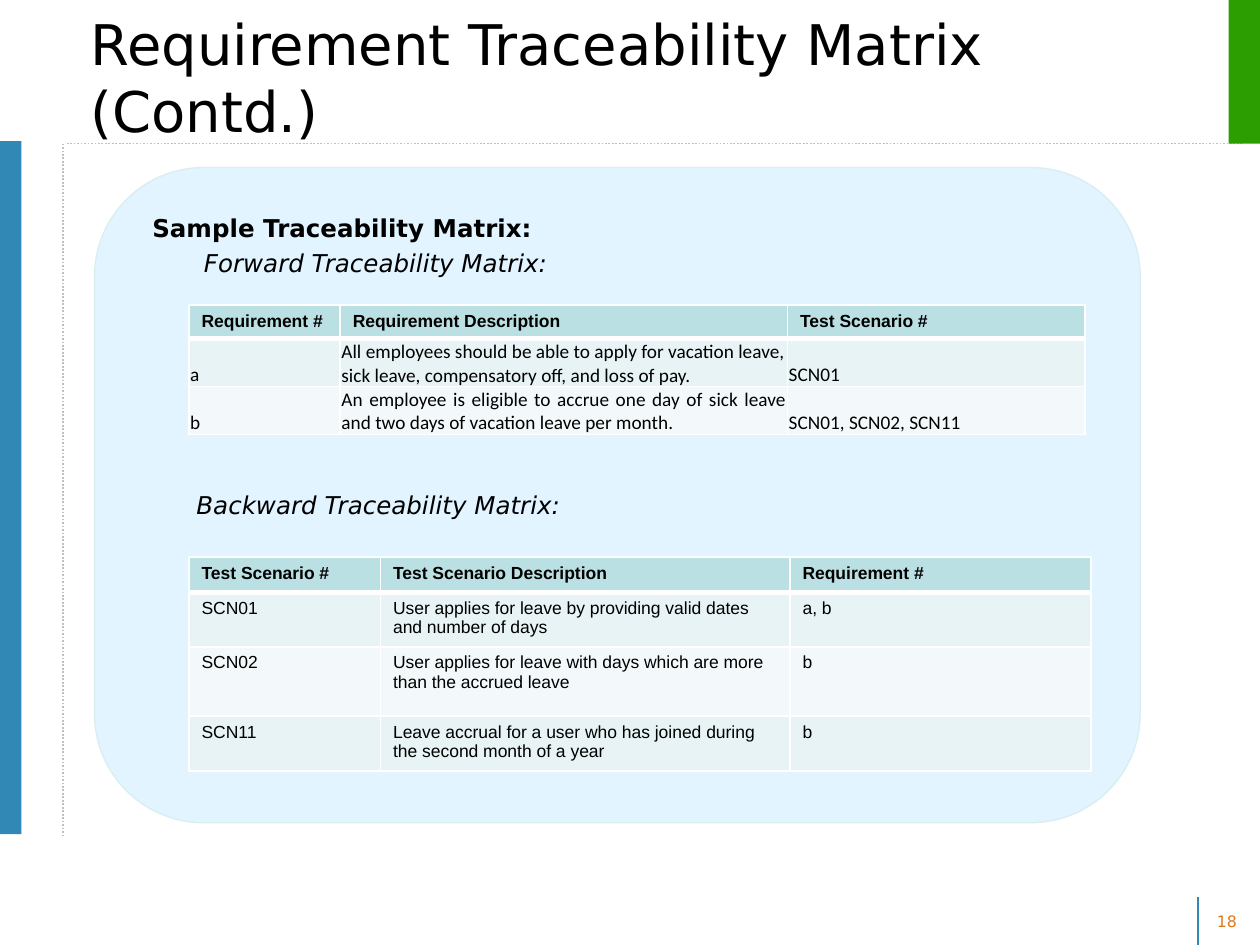
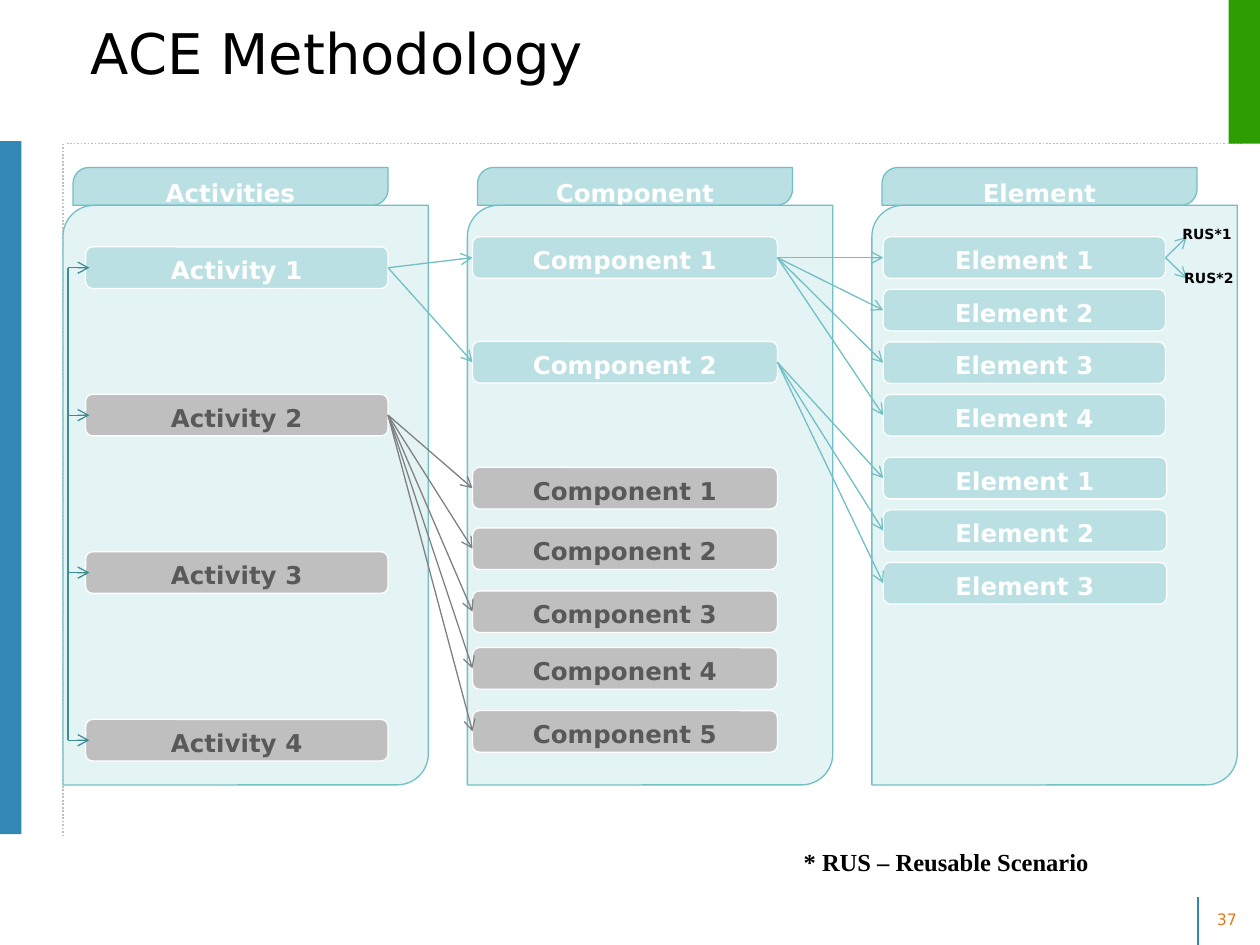
from lxml import etree
from pptx import Presentation
from pptx.dml.color import RGBColor
from pptx.enum.dml import MSO_LINE
from pptx.enum.shapes import MSO_CONNECTOR, MSO_SHAPE
from pptx.enum.text import MSO_ANCHOR, MSO_AUTO_SIZE, PP_ALIGN
from pptx.oxml.ns import qn
from pptx.util import Inches, Pt

RECTANGLE, ROUNDED = MSO_SHAPE.RECTANGLE, MSO_SHAPE.ROUNDED_RECTANGLE
DIAGONAL = MSO_SHAPE.ROUND_2_DIAG_RECTANGLE
STRAIGHT, DOTTED = MSO_CONNECTOR.STRAIGHT, MSO_LINE.ROUND_DOT
LEFT, CENTER, JUSTIFY = PP_ALIGN.LEFT, PP_ALIGN.CENTER, PP_ALIGN.JUSTIFY
TOP, MIDDLE, BOTTOM = MSO_ANCHOR.TOP, MSO_ANCHOR.MIDDLE, MSO_ANCHOR.BOTTOM
LEFT_SIDE, RIGHT_SIDE = 1, 3

WIDTH, HEIGHT = 10, 7.5
SANS = "DejaVu Sans"
COLORS = {
    "black": "000000", "white": "FFFFFF", "blue": "3188B4", "green": "2D9E01",
    "dots": "C0C0C0", "number": "DF7A1C", "card": "E1F4FF", "card edge": "DAEDEF",
    "teal": "BBE0E3", "teal line": "72BFC5", "spine": "3C8C93", "panel": "E4F3F4",
    "row odd": "E7F3F4", "row even": "F3F9FA",
    "gray": "BFBFBF", "gray line": "808080", "gray text": "595959",
}

# ---- Content: traceability slide ----
# text, indent, space before, style
HEADINGS = [
    ("Sample Traceability Matrix:", 0.44, 0, {"bold": True}),
    ("Forward Traceability Matrix:", 0.85, 3.5, {"italic": True}),
    ("Backward Traceability Matrix:", 0.79, 121, {"italic": True}),
]
FORWARD = {
    "top": 2.42, "columns": [1.2, 3.55, 2.36], "rows": [0.26, 0.38, 0.38],
    "body": {"name": "Calibri", "size": 11}, "tight": True, "justified": (2, 1),
    "cells": [
        ("Requirement #", "Requirement Description", "Test Scenario #"),
        ("a", "All employees should be able to apply for vacation leave, sick leave, "
              "compensatory off, and loss of pay.", "SCN01"),
        ("b", "An employee is eligible to accrue one day of sick leave and two days "
              "of vacation leave per month.", "SCN01, SCN02, SCN11"),
    ],
}
BACKWARD = {
    "top": 4.42, "columns": [1.52, 3.25, 2.39], "rows": [0.28, 0.41, 0.55, 0.41],
    "body": {"name": "Arial", "size": 10}, "tight": False, "justified": None,
    "cells": [
        ("Test Scenario #", "Test Scenario Description", "Requirement #"),
        ("SCN01", "User applies for leave by providing valid dates and number of days", "a, b"),
        ("SCN02", "User applies for leave with days which are more than the accrued leave", "b"),
        ("SCN11", "Leave accrual for a user who has joined during the second month of a year", "b"),
    ],
}

# ---- Content: methodology slide ----
COLUMNS = ["Activities", "Component", "Element"]
COLUMN_LEFT, COLUMN_STEP = 0.5, 3.21
BOX_HEIGHT, ELEMENT_STEP = 0.33, 0.417
# name, left, width, tops, how many of them are teal
GROUPS = {
    "activity": ("Activity", 0.68, 2.4, [1.96, 3.13, 4.38, 5.71], 1),
    "first parts": ("Component", 3.75, 2.42, [1.88, 2.71], 2),
    "second parts": ("Component", 3.75, 2.42, [3.71, 4.19, 4.69, 5.14, 5.64], 0),
    "first elements": ("Element", 7.01, 2.24, [1.88 + ELEMENT_STEP * i for i in range(4)], 4),
    "second elements": ("Element", 7.01, 2.25, [3.63 + ELEMENT_STEP * i for i in range(3)], 3),
}
# source group, index in it, target group, line colour
FANS = [
    ("activity", 0, "first parts", "teal line"),
    ("activity", 1, "second parts", "gray line"),
    ("first parts", 0, "first elements", "teal line"),
    ("first parts", 1, "second elements", "teal line"),
]
# text, left, top, width, arrow end height
SCENARIOS = [("RUS*1", 9.16, 1.74, 0.84, 1.88), ("RUS*2", 9.19, 2.09, 0.81, 2.21)]
NOTE = "* RUS – Reusable Scenario"


# ---- Helpers ----
def rgb(name):
    return RGBColor.from_string(COLORS[name])


def write(para, text, size, color="black", name=SANS, align=LEFT, **style):
    span = para.add_run()
    span.text = text
    para.alignment = align
    span.font.color.rgb = rgb(color)
    for key, value in {"name": name, "size": Pt(size), **style}.items():
        setattr(span.font, key, value)


def add_box(page, kind, place, fill, line=None, radius=None):
    box = page.shapes.add_shape(kind, *map(Inches, place))
    box.shadow.inherit = False
    box.fill.solid()
    box.fill.fore_color.rgb = rgb(fill)
    if line:
        box.line.color.rgb = rgb(line)
        box.line.width = Pt(0.75)
    else:
        box.line.fill.background()
    if radius is not None:
        box.adjustments[0] = radius
    box.text_frame.vertical_anchor = TOP
    return box


def add_text(page, place, text, size, **style):
    frame = page.shapes.add_textbox(*map(Inches, place)).text_frame
    frame.word_wrap = True
    write(frame.paragraphs[0], text, size, **style)


def add_line(page, start, end, color, width=0.75, dash=None, arrow=False):
    line = page.shapes.add_connector(STRAIGHT, *map(Inches, (*start, *end)))
    line.line.color.rgb = rgb(color)
    line.line.width = Pt(width)
    if dash:
        line.line.dash_style = dash
    properties = line._element.spPr
    if arrow:
        etree.SubElement(properties.find(qn("a:ln")), qn("a:tailEnd"), type="arrow")
    etree.SubElement(properties, qn("a:effectLst"))
    return line


def add_page(deck, title, title_top, number, number_top):
    page = deck.slides.add_slide(deck.slide_layouts[5])
    # Frame lines and bands
    add_line(page, (9.51, HEIGHT), (9.51, 7.12), "blue", 1)
    add_line(page, (0.53, 1.14), (9.86, 1.14), "dots", 1, DOTTED)
    add_line(page, (0.5, 1.14), (0.5, 6.64), "dots", 1, DOTTED)
    add_box(page, RECTANGLE, (0, 1.12, 0.17, 5.5), "blue")
    add_box(page, RECTANGLE, (9.75, 0, 0.25, 1.14), "green")
    # Title and page number
    holder = page.shapes.title
    place = {"left": 0.62, "top": title_top, "width": 8.17, "height": 0.67}
    for key, value in place.items():
        setattr(holder, key, Inches(value))
    holder.text_frame.auto_size = MSO_AUTO_SIZE.NONE
    holder.text_frame.vertical_anchor = MIDDLE
    write(holder.text_frame.paragraphs[0], title, 32)
    add_text(page, (9.56, number_top, 0.4, 0.25), number, 9, color="number")
    return page


def set_borders(cell, bottom):
    properties = cell._tc.get_or_add_tcPr()
    for position, side in enumerate("LRTB"):
        width = Pt(bottom if side == "B" else 1)
        border = etree.Element(qn(f"a:ln{side}"), w=str(width))
        fill = etree.SubElement(border, qn("a:solidFill"))
        etree.SubElement(fill, qn("a:srgbClr"), val=COLORS["white"])
        properties.insert(position, border)


def add_matrix(page, matrix):
    columns, rows = matrix["columns"], matrix["rows"]
    place = (1.5, matrix["top"], sum(columns), sum(rows))
    table = page.shapes.add_table(len(rows), len(columns), *map(Inches, place)).table
    table.horz_banding = False
    for column, width in zip(table.columns, columns):
        column.width = Inches(width)
    for r, texts in enumerate(matrix["cells"]):
        table.rows[r].height = Inches(rows[r])
        fill = "teal" if r == 0 else "row odd" if r % 2 else "row even"
        style = {"name": "Arial", "size": 10, "bold": True} if r == 0 else {
            **matrix["body"], "bold": False}
        for c, text in enumerate(texts):
            cell = table.cell(r, c)
            cell.fill.solid()
            cell.fill.fore_color.rgb = rgb(fill)
            set_borders(cell, bottom=1 if r else 3)
            if r and matrix["tight"]:
                cell.vertical_anchor = BOTTOM
                cell.margin_bottom = 0
                for side in ("left", "top", "right"):
                    setattr(cell, f"margin_{side}", Inches(0.01))
            align = JUSTIFY if (r, c) == matrix["justified"] else LEFT
            write(cell.text_frame.paragraphs[0], text, align=align, **style)


# ---- Slides ----
def build_traceability(deck):
    page = add_page(deck, "Requirement Traceability Matrix (Contd.)", 0.27, "18", 7.19)
    add_box(page, ROUNDED, (0.75, 1.33, 8.3, 5.2), "card", "card edge")
    frame = page.shapes.add_textbox(*map(Inches, (0.67, 1.08, 8.75, 5.2))).text_frame
    frame.word_wrap = True
    frame.margin_top = Inches(0.61)
    for index, (text, indent, before, style) in enumerate(HEADINGS):
        para = frame.add_paragraph() if index else frame.paragraphs[0]
        para._p.get_or_add_pPr().set("marL", str(Inches(indent)))
        para.space_before = Pt(before)
        write(para, text, 14, **style)
    for matrix in (FORWARD, BACKWARD):
        add_matrix(page, matrix)


def build_methodology(deck):
    page = add_page(deck, "ACE Methodology", 0.08, "37", 7.17)
    # Column tabs and panels
    for index, name in enumerate(COLUMNS):
        left = COLUMN_LEFT + COLUMN_STEP * index
        tab = add_box(page, DIAGONAL, (left + 0.08, 1.33, 2.5, 0.3), "teal", "teal line", 0.418)
        write(tab.text_frame.paragraphs[0], name, 14, "white", align=CENTER, bold=True)
        add_box(page, DIAGONAL, (left, 1.63, 2.9, 4.6), "panel", "teal line", 0.085)

    # Numbered boxes
    boxes = {}
    for group, (name, left, width, tops, teal_count) in GROUPS.items():
        boxes[group] = []
        for index, top in enumerate(tops):
            fill, color = ("teal", "white") if index < teal_count else ("gray", "gray text")
            box = add_box(page, ROUNDED, (left, top, width, BOX_HEIGHT), fill, "white")
            write(box.text_frame.paragraphs[0], f"{name} {index + 1}", 14, color,
                  align=CENTER, bold=True)
            boxes[group].append(box)

    # Arrows that fan out from one box to a group
    for source, index, targets, color in FANS:
        for target in boxes[targets]:
            arrow = add_line(page, (0, 0), (1, 1), color, arrow=True)
            arrow.begin_connect(boxes[source][index], RIGHT_SIDE)
            arrow.end_connect(target, LEFT_SIDE)

    # Spine that feeds the activities
    middles = [top + BOX_HEIGHT / 2 for top in GROUPS["activity"][3]]
    add_line(page, (0.54, middles[0]), (0.54, middles[-1]), "spine")
    for middle in middles:
        add_line(page, (0.54, middle), (0.71, middle), "spine", arrow=True)

    # Reusable scenarios
    for text, left, top, width, end in SCENARIOS:
        arrow = add_line(page, (9.25, 2.05), (9.42, end), "teal line", arrow=True)
        arrow.begin_connect(boxes["first elements"][0], RIGHT_SIDE)
        add_text(page, (left, top, width, 0.24), text, 8, align=CENTER, bold=True)
    add_text(page, (5.55, 6.67, 3.92, 0.34), NOTE, 14, name="Times New Roman",
             align=CENTER, bold=True)


def main():
    deck = Presentation()
    deck.slide_width, deck.slide_height = Inches(WIDTH), Inches(HEIGHT)
    build_traceability(deck)
    build_methodology(deck)
    deck.save("out.pptx")


if __name__ == "__main__":
    main()
